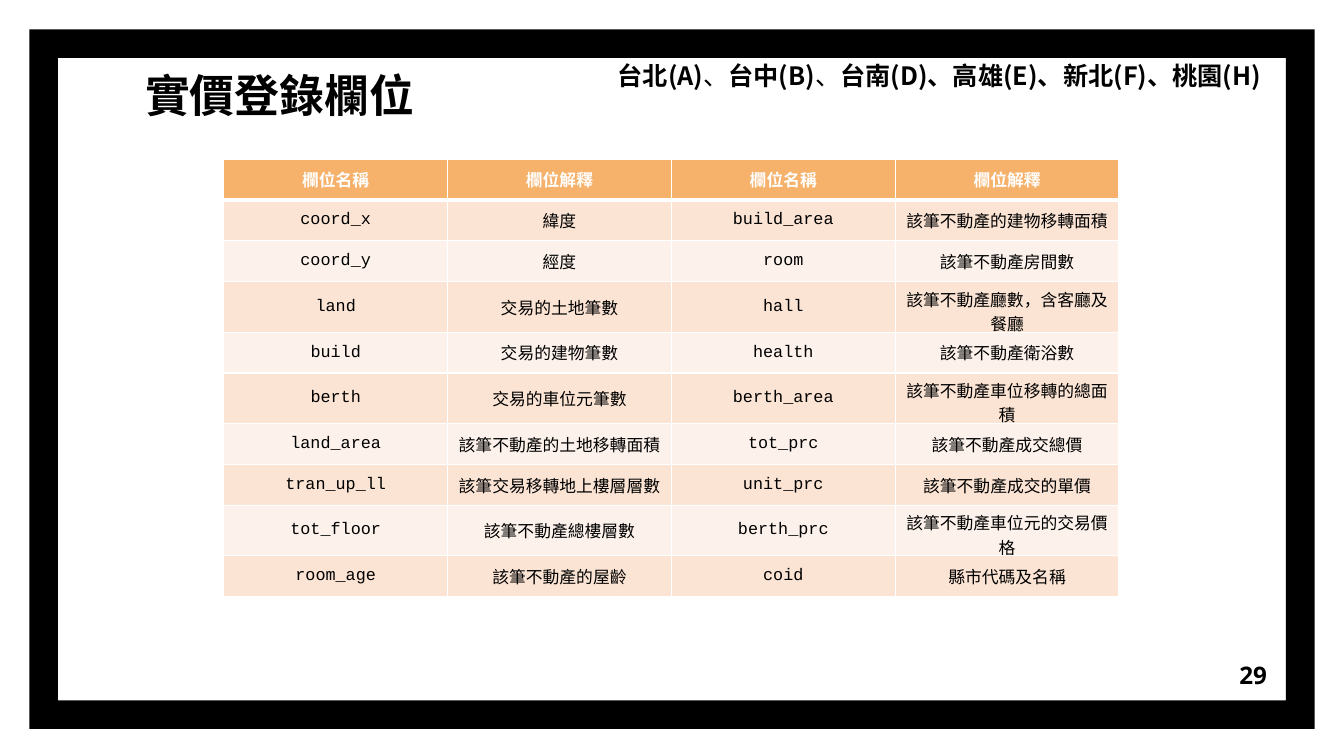
from dataclasses import dataclass

from lxml.etree import SubElement
from pptx import Presentation
from pptx.dml.color import RGBColor
from pptx.enum.shapes import MSO_SHAPE
from pptx.enum.text import MSO_ANCHOR, PP_ALIGN
from pptx.oxml.ns import qn
from pptx.util import Cm, Pt


@dataclass(frozen=True)
class Theme:
    black: str = "000000"
    white: str = "FFFFFF"
    header: str = "F6B26B"
    bands: tuple = ("FBE4D4", "FDF2EB")
    cjk: str = "Noto Sans CJK SC"
    latin: str = "Noto Sans"
    body: str = "Arial"
    code: str = "Courier New"
    title_size: float = 32
    heading_size: float = 18
    number_size: float = 17.3
    table_size: float = 12


class SlideBuilder:
    def __init__(self, prs, theme):
        self.theme = theme
        self.slide = prs.slides.add_slide(prs.slide_layouts[6])

    def style(self, p, font, size, color, bold=None, align=PP_ALIGN.LEFT):
        p.alignment = align
        p.font.name, p.font.size, p.font.bold = font, Pt(size), bold
        p.font.color.rgb = RGBColor.from_string(color)

    def frame(self, x, y, w, h, thickness):
        sp = self.slide.shapes.add_shape(MSO_SHAPE.FRAME, Cm(x), Cm(y), Cm(w), Cm(h))
        sp.adjustments[0] = thickness
        sp.shadow.inherit = False
        sp.fill.solid()
        sp.fill.fore_color.rgb = RGBColor.from_string(self.theme.black)
        sp.line.fill.background()

    def text(self, x, y, w, h, runs, font, size, align=PP_ALIGN.LEFT,
             anchor=MSO_ANCHOR.TOP, inset=(0.25, 0.13), spacing=None):
        """Add one paragraph; runs are (words, bold) pairs."""
        tf = self.slide.shapes.add_textbox(Cm(x), Cm(y), Cm(w), Cm(h)).text_frame
        tf.word_wrap = True
        tf.vertical_anchor = anchor
        tf.margin_left = tf.margin_right = Cm(inset[0])
        tf.margin_top = tf.margin_bottom = Cm(inset[1])
        p = tf.paragraphs[0]
        p.line_spacing = spacing
        self.style(p, font, size, self.theme.black, align=align)
        for words, bold in runs:
            r = p.add_run()
            r.text, r.font.bold = words, bold

    def borders(self, cell, bottom):
        tc_pr = cell._tc.get_or_add_tcPr()
        for i, (side, width) in enumerate(zip("LRTB", (1, 1, 1, bottom))):
            ln = tc_pr.makeelement(qn(f"a:ln{side}"), {"w": str(Pt(width))})
            fill = SubElement(ln, qn("a:solidFill"))
            SubElement(fill, qn("a:srgbClr"), val=self.theme.white)
            tc_pr.insert(i, ln)

    def table(self, x, y, col_width, row_height, rows):
        t, n_cols = self.theme, len(rows[0])
        table = self.slide.shapes.add_table(
            len(rows), n_cols, Cm(x), Cm(y),
            Cm(col_width * n_cols), Cm(row_height * len(rows))).table
        for column in table.columns:
            column.width = Cm(col_width)
        for i, row in enumerate(rows):
            table.rows[i].height = Cm(row_height)
            is_header = i == 0
            for j, words in enumerate(row):
                cell = table.cell(i, j)
                cell.text = words
                cell.vertical_anchor = MSO_ANCHOR.MIDDLE
                cell.fill.solid()
                cell.fill.fore_color.rgb = RGBColor.from_string(
                    t.header if is_header else t.bands[(i - 1) % 2])
                is_code = not is_header and j % 2 == 0
                self.style(cell.text_frame.paragraphs[0],
                           t.code if is_code else t.body, t.table_size,
                           t.white if is_header else t.black,
                           is_header, PP_ALIGN.CENTER)
                self.borders(cell, 3 if is_header else 1)


FIELDS = [
    ("欄位名稱", "欄位解釋", "欄位名稱", "欄位解釋"),
    ("coord_x", "緯度", "build_area", "該筆不動產的建物移轉面積"),
    ("coord_y", "經度", "room", "該筆不動產房間數"),
    ("land", "交易的土地筆數", "hall", "該筆不動產廳數，含客廳及餐廳"),
    ("build", "交易的建物筆數", "health", "該筆不動產衛浴數"),
    ("berth", "交易的車位元筆數", "berth_area", "該筆不動產車位移轉的總面積"),
    ("land_area", "該筆不動產的土地移轉面積", "tot_prc", "該筆不動產成交總價"),
    ("tran_up_ll", "該筆交易移轉地上樓層層數", "unit_prc", "該筆不動產成交的單價"),
    ("tot_floor", "該筆不動產總樓層數", "berth_prc", "該筆不動產車位元的交易價格"),
    ("room_age", "該筆不動產的屋齡", "coid", "縣市代碼及名稱"),
]
CITIES = [("台北(A)", True), ("、", False), ("台中(B)", True), ("、", False),
          ("台南(D)、高雄(E)、新北(F)、桃園(H)", True)]


def main():
    prs = Presentation()
    prs.slide_width, prs.slide_height = Cm(33.87), Cm(19.05)
    theme = Theme()
    s = SlideBuilder(prs, theme)

    # Frame around the slide
    s.frame(0.74, 0.74, 32.39, 17.63, 0.041)

    # Title and page number
    s.text(3.33, 1.52, 27.64, 1.93, [("實價登錄欄位", True)], theme.cjk,
           theme.title_size, inset=(0.33, 0.33), spacing=0.9)
    s.text(30.23, 16.28, 2.03, 1.45, [("29", True)], theme.latin,
           theme.number_size, PP_ALIGN.RIGHT, MSO_ANCHOR.MIDDLE, (0.33, 0.33))

    # Field table
    s.table(5.64, 4.01, 5.64, 1.03, FIELDS)

    # City codes
    s.text(15.32, 1.4, 16.92, 1.02, CITIES, theme.cjk, theme.heading_size)

    prs.save("out.pptx")


if __name__ == "__main__":
    main()
